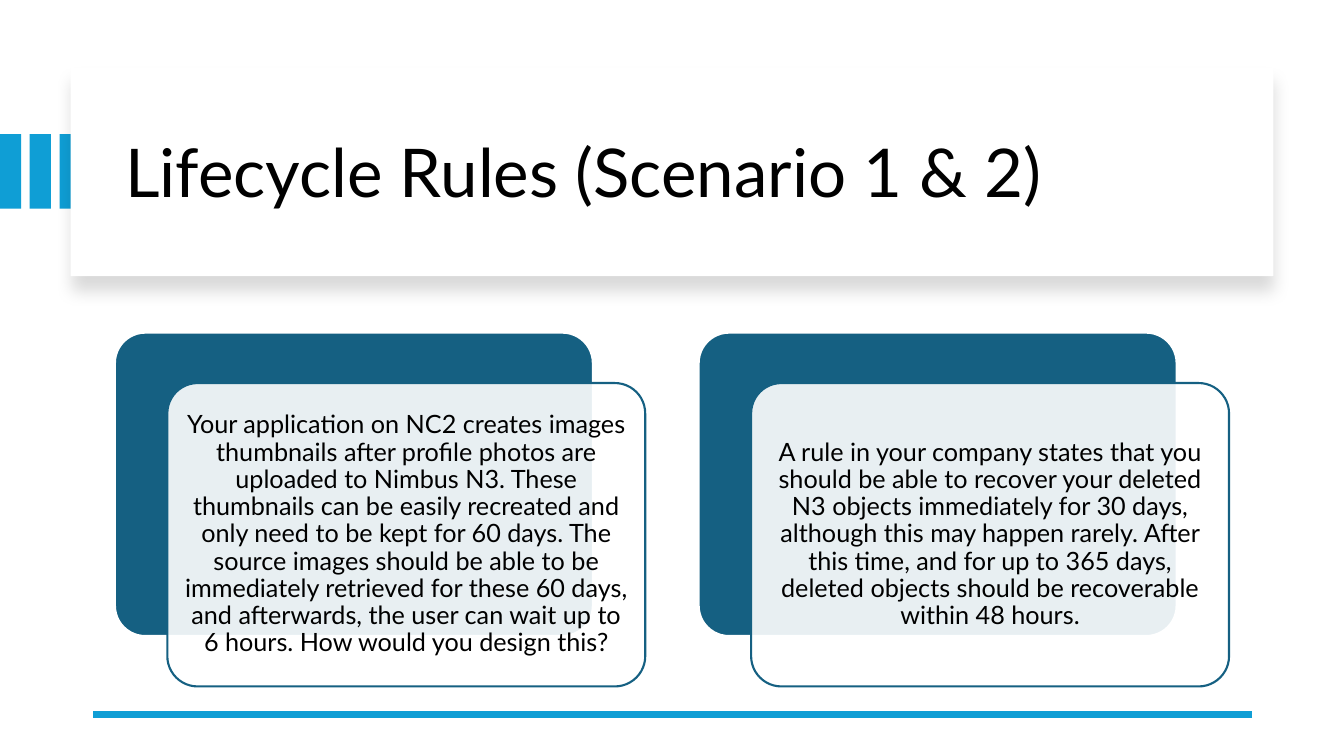
from pptx import Presentation
from pptx.dml.color import RGBColor
from pptx.enum.shapes import MSO_CONNECTOR, MSO_SHAPE
from pptx.enum.text import MSO_ANCHOR, PP_ALIGN
from pptx.oxml import parse_xml
from pptx.oxml.ns import nsdecls, qn
from pptx.util import Inches, Pt

TITLE = "Lifecycle Rules (Scenario 1 & 2)"
SCENARIOS = [
    "Your application on NC2 creates images thumbnails after profile photos are "
    "uploaded to Nimbus N3. These thumbnails can be easily recreated and only need "
    "to be kept for 60 days. The source images should be able to be immediately "
    "retrieved for these 60 days, and afterwards, the user can wait up to 6 hours. "
    "How would you design this?",
    "A rule in your company states that you should be able to recover your deleted "
    "N3 objects immediately for 30 days, although this may happen rarely. After this "
    "time, and for up to 365 days, deleted objects should be recoverable within "
    "48 hours.",
]
FONT = "Lato"
BLACK, WHITE, SKY, TEAL = "000000", "FFFFFF", "0F9ED5", "156082"
CARD_LEFT, CARD_TOP, CARD_W, CARD_H = 1.14, 3.3, 4.74, 3.01
CARD_STEP = 5.79
OFFSET_X, OFFSET_Y = 0.52, 0.5


def rgb(color):
    return RGBColor.from_string(color)


def add_box(s, kind, left, top, width, height, fill, line=None):
    sp = s.shapes.add_shape(kind, Inches(left), Inches(top), Inches(width), Inches(height))
    sp.shadow.inherit = False
    sp.fill.solid()
    sp.fill.fore_color.rgb = rgb(fill)
    if line:
        sp.line.color.rgb = rgb(line)
        sp.line.width = Pt(1.5)
    else:
        sp.line.fill.background()
    return sp


def add_card(s, left, top, fill, line):
    sp = add_box(s, MSO_SHAPE.ROUNDED_RECTANGLE, left, top, CARD_W, CARD_H, fill, line)
    sp.adjustments[0] = 0.1
    return sp


def style_text(tf, text, size):
    tf.text = text
    tf.word_wrap = True
    tf.vertical_anchor = MSO_ANCHOR.MIDDLE
    p = tf.paragraphs[0]
    p.line_spacing = 0.9
    p.font.name = FONT
    p.font.size = Pt(size)
    p.font.color.rgb = rgb(BLACK)
    return p


prs = Presentation()
prs.slide_width, prs.slide_height = Inches(13.33), Inches(7.5)
s = prs.slides.add_slide(prs.slide_layouts[5])

# Accent bars at the left edge
for i in range(3):
    add_box(s, MSO_SHAPE.RECTANGLE, 0.295 * i, 1.33, 0.21, 0.74, SKY)

# Title panel with a soft shadow
panel = add_box(s, MSO_SHAPE.RECTANGLE, 0.7, 0.67, 11.93, 2.07, WHITE)
effects = panel.element.spPr.find(qn("a:effectLst"))
effects.append(parse_xml(
    f'<a:outerShdw {nsdecls("a")} blurRad="{Pt(11)}" dist="{Pt(10)}" dir="5400000" '
    f'algn="t" rotWithShape="0"><a:srgbClr val="{BLACK}"><a:alpha val="15000"/>'
    '</a:srgbClr></a:outerShdw>'))

# Title, brought in front of the panel
title = s.shapes.title
title.left, title.top = Inches(1.14), Inches(0.89)
title.width, title.height = Inches(11.13), Inches(1.7)
style_text(title.text_frame, TITLE, 48).alignment = PP_ALIGN.LEFT
panel.element.addnext(title.element)

# Bottom rule
rule = s.shapes.add_connector(MSO_CONNECTOR.STRAIGHT, Inches(12.42), Inches(7.09),
                              Inches(0.92), Inches(7.09))
rule.line.color.rgb = rgb(SKY)
rule.line.width = Pt(4.5)
rule.element.spPr.append(parse_xml(f'<a:effectLst {nsdecls("a")}/>'))

# Scenario cards: a solid back and a translucent front holding the text
for i, scenario in enumerate(SCENARIOS):
    left = CARD_LEFT + i * CARD_STEP
    add_card(s, left, CARD_TOP, TEAL, WHITE)
    front = add_card(s, left + OFFSET_X, CARD_TOP + OFFSET_Y, WHITE, TEAL)
    color = front.element.spPr.find(qn("a:solidFill"))[0]
    color.append(parse_xml(f'<a:alpha {nsdecls("a")} val="90000"/>'))
    tf = front.text_frame
    tf.margin_left = tf.margin_right = tf.margin_top = tf.margin_bottom = Inches(0.07)
    style_text(tf, scenario, 18).alignment = PP_ALIGN.CENTER

prs.save("out.pptx")
